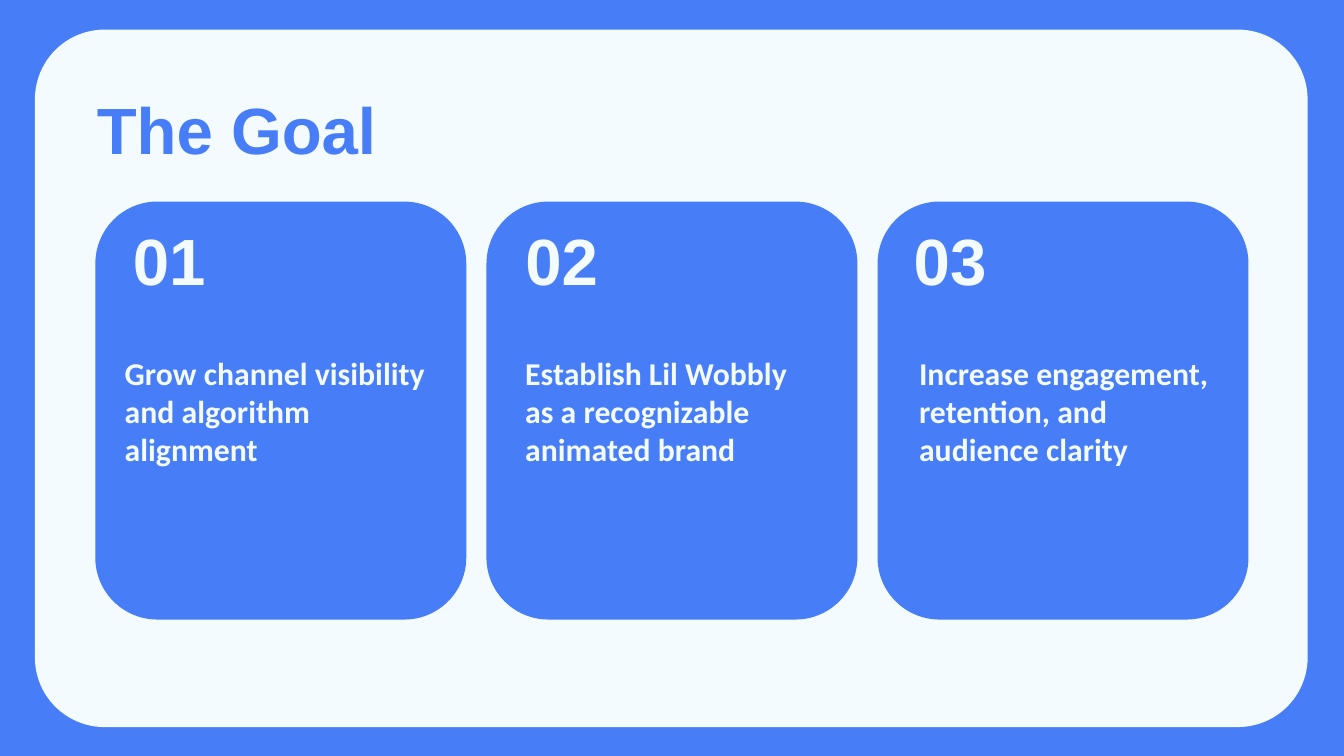
from pptx import Presentation
from pptx.dml.color import RGBColor
from pptx.enum import shapes, text
from pptx.util import Inches, Pt

BLUE, PALE = "477DF6", "F3FBFF"


def add_panel(slide, left, top, width, height, radius, color):
    sp = slide.shapes.add_shape(shapes.MSO_SHAPE.ROUNDED_RECTANGLE, Inches(left),
                                Inches(top), Inches(width), Inches(height))
    sp.adjustments[0] = radius
    sp.shadow.inherit = False
    sp.fill.solid()
    sp.fill.fore_color.rgb = RGBColor.from_string(color)
    sp.line.fill.background()
    return sp


def write(sp, lines, font, size, color, inset=0.05, after=0):
    """Fill a text shape with one bold paragraph, broken between lines."""
    tf = sp.text_frame
    tf.word_wrap = True
    tf.auto_size = text.MSO_AUTO_SIZE.SHAPE_TO_FIT_TEXT
    tf.vertical_anchor = text.MSO_ANCHOR.TOP
    tf.margin_left = tf.margin_right = Inches(0.1)
    tf.margin_top = tf.margin_bottom = Inches(inset)
    p = tf.paragraphs[0]
    p.alignment = text.PP_ALIGN.LEFT
    p.line_spacing = 1.0
    p.space_before = Pt(0)
    p.space_after = Pt(after)
    for i, line in enumerate(lines):
        if i:
            p.add_line_break()
        r = p.add_run()
        r.text = line
        r.font.name = font
        r.font.size = Pt(size)
        r.font.bold = True
        r.font.color.rgb = RGBColor.from_string(color)


prs = Presentation()
prs.slide_width, prs.slide_height = Inches(10), Inches(10 * 9 / 16)
slide = prs.slides.add_slide(prs.slide_layouts[5])
slide.background.fill.solid()
slide.background.fill.fore_color.rgb = RGBColor.from_string(BLUE)

backdrop = add_panel(slide, 0.26, 0.22, 9.47, 5.19, 0.1, PALE)
title = slide.shapes.title
backdrop._element.addnext(title._element)  # title in front of the backdrop
title.left, title.top = Inches(0.62), Inches(0.61)
title.width, title.height = Inches(7.07), Inches(0.69)
write(title, ["The Goal"], "Arial", 35, BLUE)

# number left, text left, text height, space after, text lines
goals = [
    (0.89, 0.83, 1.06, 10, ["Grow channel visibility and algorithm alignment"]),
    (3.81, 3.81, 1.06, 10, ["Establish Lil Wobbly", "as a recognizable animated brand"]),
    (6.70, 6.74, 1.49, 0, ["Increase engagement, retention, and audience clarity"]),
]
for i, (number_left, text_left, height, after, lines) in enumerate(goals):
    add_panel(slide, 0.71 + i * 2.91, 1.5, 2.76, 3.11, 0.167, BLUE)
    number = slide.shapes.add_textbox(Inches(number_left), Inches(1.59),
                                      Inches(2.28), Inches(0.69))
    write(number, [f"{i + 1:02}"], "Arial", 35, PALE)
    goal = slide.shapes.add_textbox(Inches(text_left), Inches(2.53),
                                    Inches(2.47), Inches(height))
    write(goal, lines, "Calibri", 17, PALE, inset=0.1, after=after)

prs.save("out.pptx")
